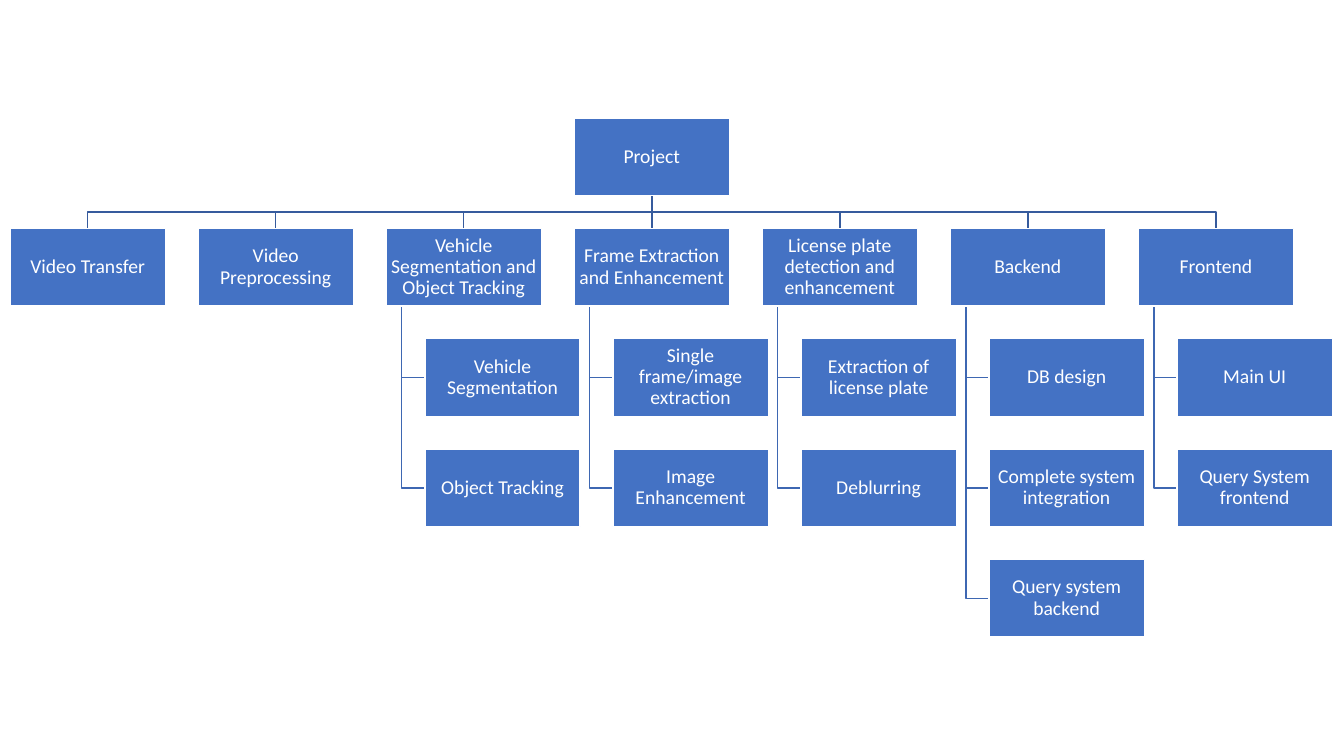
from pptx import Presentation
from pptx.dml.color import RGBColor
from pptx.enum.shapes import MSO_CONNECTOR, MSO_SHAPE
from pptx.enum.text import MSO_ANCHOR, PP_ALIGN
from pptx.oxml.xmlchemy import OxmlElement
from pptx.util import Inches, Pt

STRAIGHT = MSO_CONNECTOR.STRAIGHT
RECTANGLE = MSO_SHAPE.RECTANGLE
MIDDLE = MSO_ANCHOR.MIDDLE
CENTER = PP_ALIGN.CENTER

BOX_FILL, BOX_TEXT = "4472C4", "FFFFFF"
TRUNK_COLOR, BRANCH_COLOR = "365B9D", "3E67B2"

LEFT, TOP = 0.1, 1.17
BOX_W, BOX_H = 1.54, 0.77
COLUMN = (11.29 - LEFT) / 6
ROW = (5.55 - TOP) / 4
INDENT = BOX_W / 4
STEM = BOX_W / 10
ROOT_COLUMN = 3

phases = [
    ("Video Transfer", []),
    ("Video Preprocessing", []),
    ("Vehicle Segmentation and Object Tracking",
     ["Vehicle Segmentation", "Object Tracking"]),
    ("Frame Extraction and Enhancement",
     ["Single frame/image extraction", "Image Enhancement"]),
    ("License plate detection and enhancement",
     ["Extraction of license plate", "Deblurring"]),
    ("Backend",
     ["DB design", "Complete system integration", "Query system backend"]),
    ("Frontend", ["Main UI", "Query System frontend"]),
]

prs = Presentation()
prs.slide_width, prs.slide_height = Inches(13.33), Inches(7.5)
slide = prs.slides.add_slide(prs.slide_layouts[6])


def rgb(color):
    return RGBColor.from_string(color)


def add_link(points, color):
    corners = [(Inches(x), Inches(y)) for x, y in points]
    if len(corners) == 2:
        link = slide.shapes.add_connector(STRAIGHT, *corners[0], *corners[1])
        link._element.spPr.append(OxmlElement("a:effectLst"))
    else:
        outline = slide.shapes.build_freeform(*corners[0])
        outline.add_line_segments(corners[1:], close=False)
        link = outline.convert_to_shape()
        link.fill.background()
        link.shadow.inherit = False
    link.line.color.rgb = rgb(color)
    link.line.width = Pt(1)


root_left = LEFT + ROOT_COLUMN * COLUMN
root_x, root_bottom = root_left + BOX_W / 2, TOP + BOX_H
phase_top = TOP + ROW
bus_y = (root_bottom + phase_top) / 2
boxes = [("Project", root_left, TOP)]

for column, (phase, tasks) in enumerate(phases):
    left = LEFT + column * COLUMN
    phase_x = left + BOX_W / 2
    boxes.append((phase, left, phase_top))
    bends = [] if column == ROOT_COLUMN else [(root_x, bus_y), (phase_x, bus_y)]
    add_link([(root_x, root_bottom), *bends, (phase_x, phase_top)], TRUNK_COLOR)

    stem_x, task_left = left + STEM, left + INDENT
    for row, task in enumerate(tasks, 2):
        task_top = TOP + row * ROW
        task_y = task_top + BOX_H / 2
        boxes.append((task, task_left, task_top))
        add_link([(stem_x, phase_top + BOX_H), (stem_x, task_y), (task_left, task_y)],
                 BRANCH_COLOR)

for label, left, top in boxes:
    box = slide.shapes.add_shape(
        RECTANGLE, Inches(left), Inches(top), Inches(BOX_W), Inches(BOX_H))
    box.shadow.inherit = False
    box.fill.solid()
    box.fill.fore_color.rgb = rgb(BOX_FILL)
    box.line.color.rgb = rgb(BOX_TEXT)
    box.line.width = Pt(1)
    frame = box.text_frame
    frame.word_wrap = True
    frame.vertical_anchor = MIDDLE
    frame.margin_left = frame.margin_right = Inches(0.01)
    frame.margin_top = frame.margin_bottom = Inches(0.01)
    paragraph = frame.paragraphs[0]
    paragraph.alignment = CENTER
    paragraph.line_spacing = 0.9
    run = paragraph.add_run()
    run.text = label
    run.font.name = "Calibri"
    run.font.size = Pt(14)
    run.font.color.rgb = rgb(BOX_TEXT)

prs.save("out.pptx")
